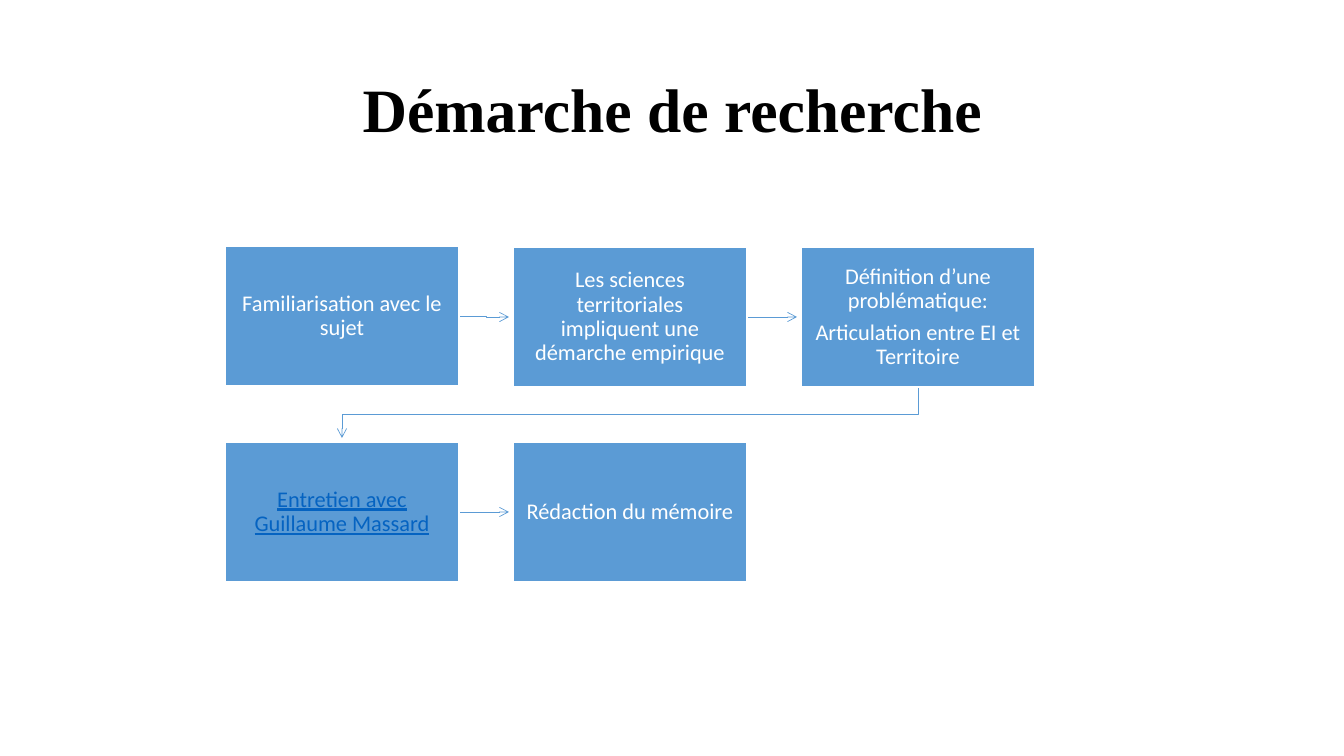
"""Build the research approach slide: a title and five linked steps."""
import pptx
import pptx.util
import pptx.dml.color
import pptx.enum.shapes
import pptx.enum.text
import pptx.oxml.ns
import lxml.etree

TITLE = "Démarche de recherche"
STEPS = [
    {"cell": (0, 0), "lift": 1, "text": ["Familiarisation avec le sujet"]},
    {"cell": (1, 0), "text": ["Les sciences territoriales impliquent une démarche empirique"]},
    {"cell": (2, 0), "text": ["Définition d’une problématique:",
                              "Articulation entre EI et Territoire"]},
    {"cell": (0, 1), "text": ["Entretien avec Guillaume Massard"], "linked": True},
    {"cell": (1, 1), "text": ["Rédaction du mémoire"]},
]
THEME = {
    "step": "5B9BD5", "edge": "FFFFFF", "text": "FFFFFF", "link": "0563C1", "title": "000000",
    "title_font": "Times New Roman", "body_font": "Calibri",
    "title_size": 44, "body_size": 16, "after": 5.6, "edge_width": 1, "arrow_width": 0.5,
}
SLIDE_W, SLIDE_H = 1344, 756
TITLE_BOX = (93, 40, 1159, 146)
LEFT, TOP, STEP_X, STEP_Y = 225, 247, 288, 195
BOX_W, BOX_H, INSET = 234, 140, 12
ARROW_GAP = 4


def px(n):
    return pptx.util.Emu(round(n * 12192000 / SLIDE_W))


def rgb(name):
    return pptx.dml.color.RGBColor.from_string(THEME[name])


def write(tf, lines, kind, color, bold=None, underline=None, after=0):
    tf.word_wrap = True
    tf.vertical_anchor = pptx.enum.text.MSO_ANCHOR.MIDDLE
    for i, line in enumerate(lines):
        p = tf.add_paragraph() if i else tf.paragraphs[0]
        p.alignment = pptx.enum.text.PP_ALIGN.CENTER
        p.line_spacing = 0.9
        p.space_after = pptx.util.Pt(after)
        r = p.add_run()
        r.text = line
        r.font.name = THEME[kind + "_font"]
        r.font.size = pptx.util.Pt(THEME[kind + "_size"])
        r.font.color.rgb = rgb(color)
        r.font.bold = bold
        r.font.underline = underline


def box_origin(step):
    col, row = step["cell"]
    return LEFT + col * STEP_X, TOP + row * STEP_Y - step.get("lift", 0)


def add_step(s, step):
    x, y = box_origin(step)
    sp = s.shapes.add_shape(pptx.enum.shapes.MSO_SHAPE.RECTANGLE,
                            px(x), px(y), px(BOX_W), px(BOX_H))
    sp.shadow.inherit = False
    sp.fill.solid()
    sp.fill.fore_color.rgb = rgb("step")
    sp.line.color.rgb = rgb("edge")
    sp.line.width = pptx.util.Pt(THEME["edge_width"])
    tf = sp.text_frame
    tf.margin_left = tf.margin_right = tf.margin_top = tf.margin_bottom = px(INSET)
    linked = step.get("linked")
    write(tf, step["text"], "body", "link" if linked else "text",
          underline=linked, after=THEME["after"])


def route(a, b):
    (ax, ay), (bx, by) = box_origin(a), box_origin(b)
    if a["cell"][1] == b["cell"][1]:
        x1, y1 = ax + BOX_W, ay + BOX_H // 2
        x2, y2 = bx - ARROW_GAP, by + BOX_H // 2
        if y1 == y2:
            return [(x1, y1), (x2, y2)]
        mid = (ax + BOX_W + bx) // 2
        return [(x1, y1), (mid, y1), (mid, y2), (x2, y2)]
    x1, y1 = ax + BOX_W // 2, ay + BOX_H
    x2, y2 = bx + BOX_W // 2, by - ARROW_GAP
    mid = (y1 + by) // 2
    return [(x1, y1), (x1, mid), (x2, mid), (x2, y2)]


def add_arrow(s, points):
    pts = [(px(x), px(y)) for x, y in points]
    if len(pts) == 2:
        sp = s.shapes.add_connector(pptx.enum.shapes.MSO_CONNECTOR.STRAIGHT, *pts[0], *pts[1])
    else:
        fb = s.shapes.build_freeform(*pts[0])
        fb.add_line_segments(pts[1:], close=False)
        sp = fb.convert_to_shape()
        sp.fill.background()
    sp.line.color.rgb = rgb("step")
    sp.line.width = pptx.util.Pt(THEME["arrow_width"])
    qn = pptx.oxml.ns.qn
    spPr = sp.element.spPr
    lxml.etree.SubElement(spPr.find(qn("a:ln")), qn("a:tailEnd"), type="arrow")
    lxml.etree.SubElement(spPr, qn("a:effectLst"))


def main():
    prs = pptx.Presentation()
    prs.slide_width, prs.slide_height = px(SLIDE_W), px(SLIDE_H)
    s = prs.slides.add_slide(prs.slide_layouts[6])
    title = s.shapes.add_textbox(*map(px, TITLE_BOX))
    write(title.text_frame, [TITLE], "title", "title", bold=True)
    for a, b in zip(STEPS, STEPS[1:]):
        add_arrow(s, route(a, b))
    for step in STEPS:
        add_step(s, step)
    prs.save("out.pptx")


if __name__ == "__main__":
    main()
